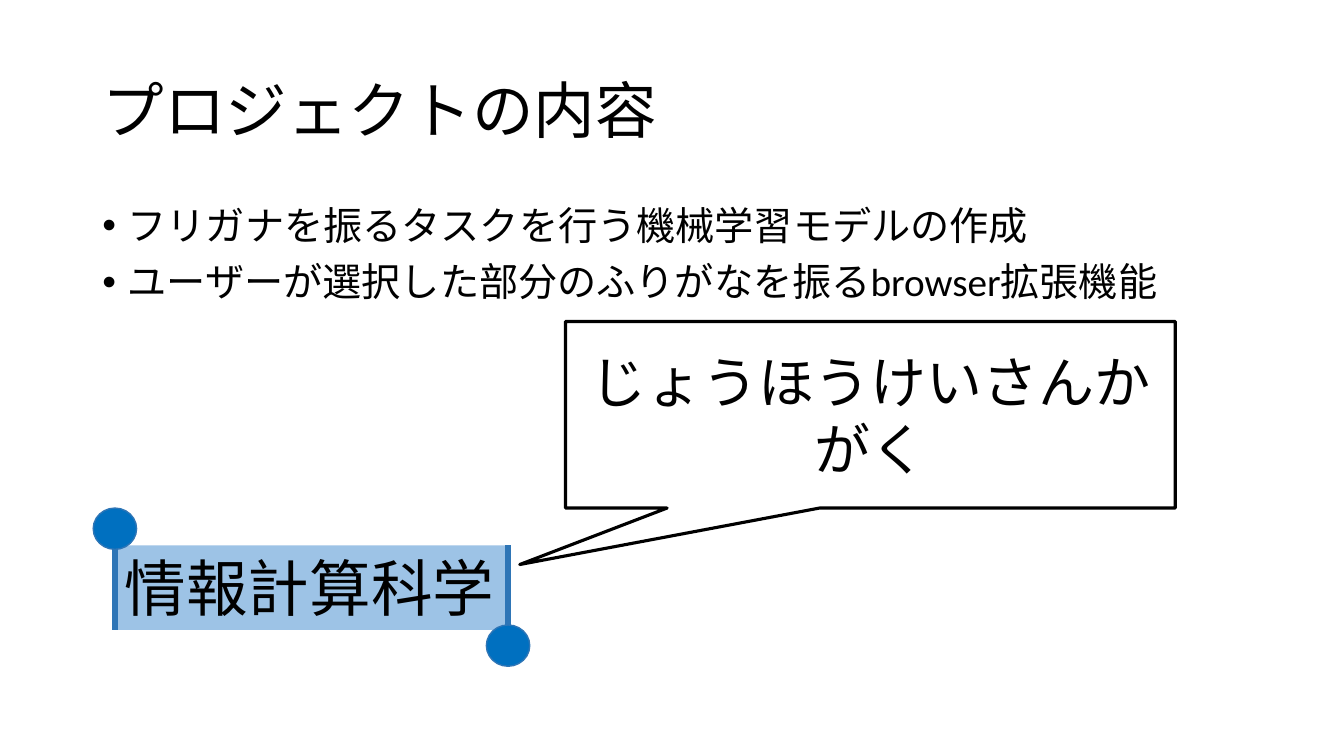
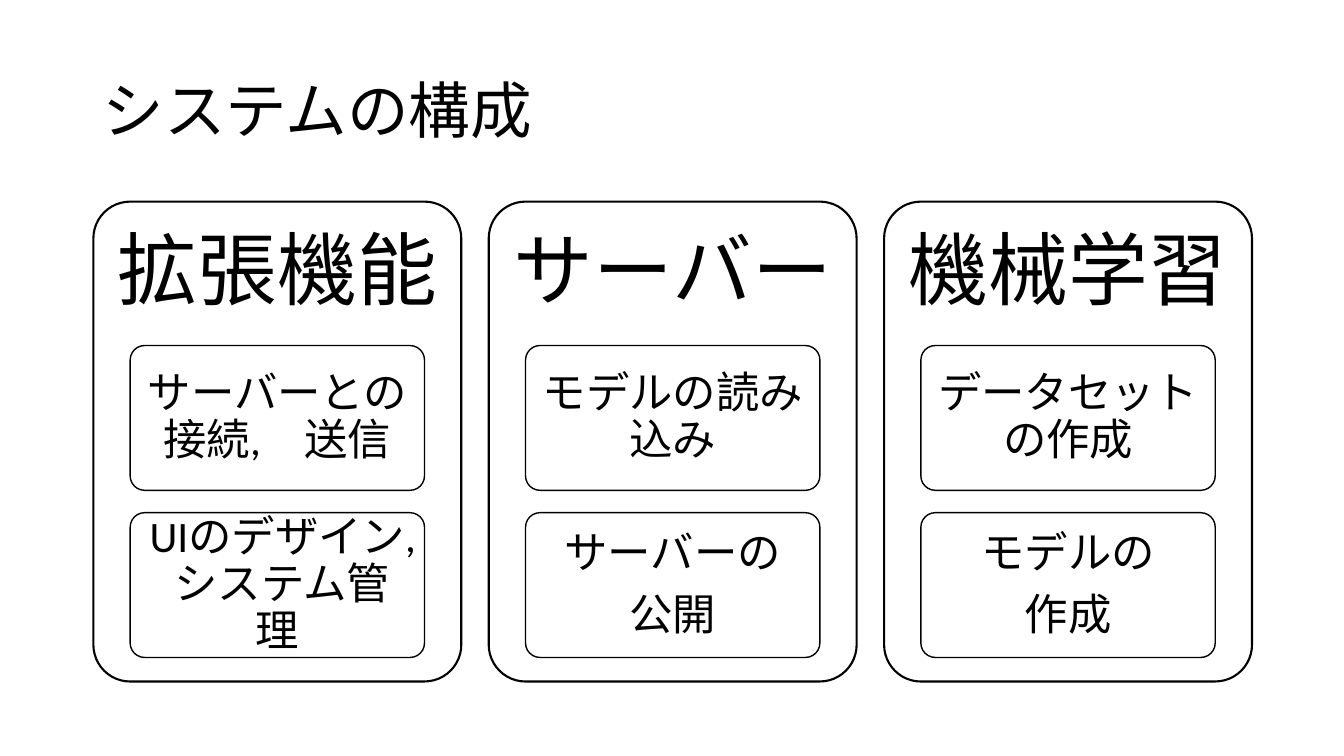
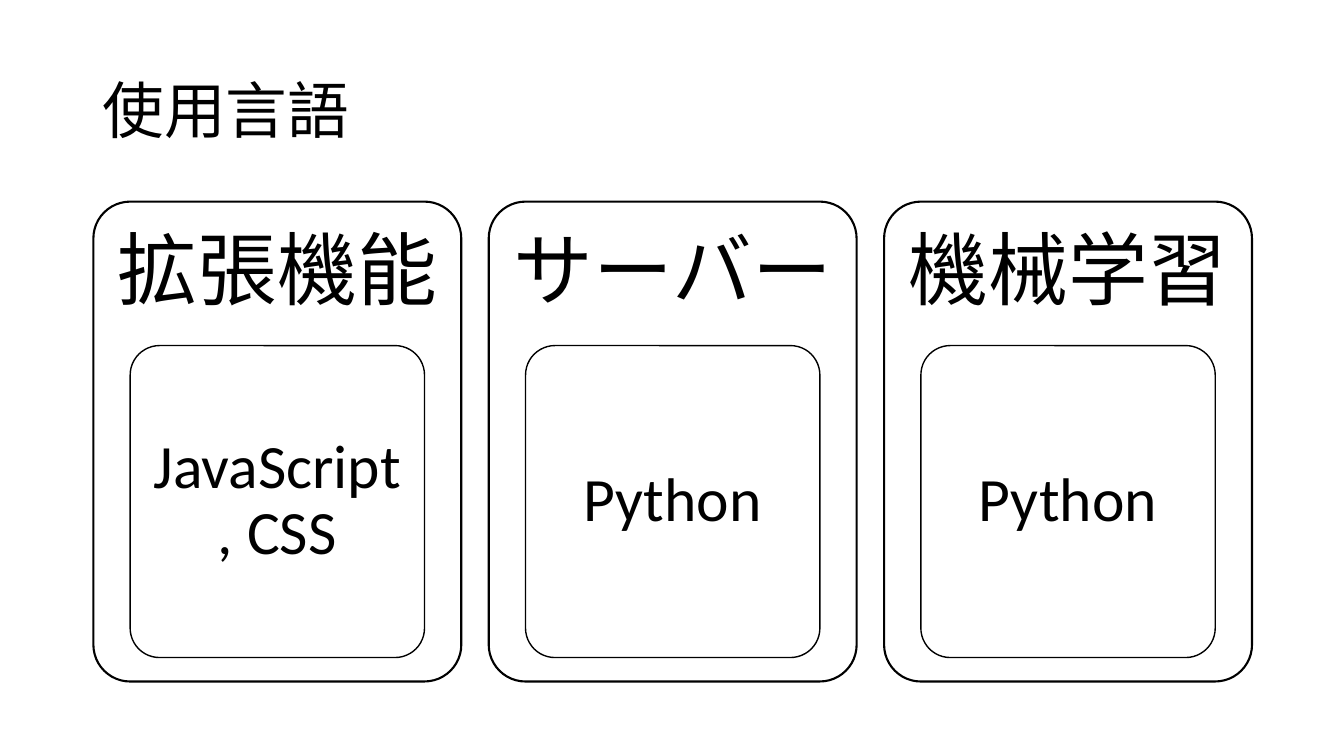
"""Build three slides on a furigana project: goal, system parts and languages."""
from lxml.etree import SubElement
from pptx import Presentation
from pptx.dml.color import RGBColor as Rgb
from pptx.enum.shapes import MSO_CONNECTOR as Link, MSO_SHAPE as Kind
from pptx.enum.text import MSO_ANCHOR as Anchor, MSO_AUTO_SIZE as Fit, PP_ALIGN as Align
from pptx.oxml.ns import qn
from pptx.util import Pt

HUES = {"ink": "000000", "paper": "FFFFFF", "mark": "9DC3E6", "edge": "2E75B6", "knob": "0070C0"}
FONT = "Calibri"


def write(frame, text, size, align=Align.LEFT, anchor=Anchor.MIDDLE, lead=1.0,
          before=0, after=0, inset=(7.2, 3.6), bullet=False):
    frame.word_wrap = True
    frame.auto_size = Fit.NONE
    frame.vertical_anchor = anchor
    frame.margin_left = frame.margin_right = Pt(inset[0])
    frame.margin_top = frame.margin_bottom = Pt(inset[1])
    frame.text = text
    for num, para in enumerate(frame.paragraphs):
        if bullet:
            props = para._p.get_or_add_pPr()
            props.set("marL", str(Pt(18)))
            props.set("indent", str(Pt(-18)))
            SubElement(props, qn("a:buChar")).set("char", "•")
        para.alignment = align
        para.line_spacing = lead
        para.space_before = Pt(before if num else 0)
        para.space_after = Pt(after)
        para.font.name = FONT
        para.font.size = Pt(size)
        para.font.color.rgb = Rgb.from_string(HUES["ink"])


def draw(slide, kind, area, fill="paper", line="ink", width=1):
    shape = slide.shapes.add_shape(kind, *map(Pt, area))
    shape.shadow.inherit = False
    shape.fill.solid()
    shape.fill.fore_color.rgb = Rgb.from_string(HUES[fill])
    if line:
        shape.line.color.rgb = Rgb.from_string(HUES[line])
        shape.line.width = Pt(width)
    else:
        shape.line.fill.background()
    return shape


deck = Presentation()
deck.slide_width, deck.slide_height = Pt(960), Pt(540)

pages = []
for name, layout in [("プロジェクトの内容", 1), ("システムの構成", 5), ("使用言語", 5)]:
    page = deck.slides.add_slide(deck.slide_layouts[layout])
    title = page.shapes.title
    title.left, title.top, title.width, title.height = map(Pt, (66, 28.8, 828, 104.4))
    write(title.text_frame, name, size=44, lead=0.9)
    pages.append(page)
goal, system, langs = pages

body = goal.placeholders[1]
body.left, body.top, body.width, body.height = map(Pt, (66, 144, 828, 80))
points = ["フリガナを振るタスクを行う機械学習モデルの作成",
          "ユーザーが選択した部分のふりがなを振るbrowser拡張機能"]
write(body.text_frame, "\n".join(points), size=28, anchor=Anchor.TOP, lead=0.9,
      before=10, bullet=True)

call = draw(goal, Kind.RECTANGULAR_CALLOUT, (403.9, 229.7, 435.6, 133.2), width=2.25)
call.adjustments[0], call.adjustments[1] = -0.575, 0.803
write(call.text_frame, "じょうほうけいさんかがく", size=40, align=Align.CENTER)

word = draw(goal, Kind.RECTANGLE, (82.1, 389.5, 280.8, 60.5), fill="mark", line=None)
write(word.text_frame, "情報計算科学", size=44, anchor=Anchor.TOP)
for x, top, end, knob in [(82.1, 392.4, 450, 362.9), (362.9, 389.5, 446.4, 446.4)]:
    bar = goal.shapes.add_connector(Link.STRAIGHT, Pt(x), Pt(top), Pt(x), Pt(end))
    bar.line.color.rgb = Rgb.from_string(HUES["edge"])
    bar.line.width = Pt(4.5)
    SubElement(bar._element.spPr, qn("a:effectLst"))
    draw(goal, Kind.OVAL, (x - 15.5, knob, 31, 29.5), fill="knob", line="edge")

heads = ["拡張機能", "サーバー", "機械学習"]
tasks = [["サーバーとの接続,　送信", "UIのデザイン, システム管理"],
         ["モデルの読み込み", "サーバーの\n公開"],
         ["データセットの作成", "モデルの\n作成"]]
tools = [["JavaScript, CSS"], ["Python"], ["Python"]]
left, top, wide, high, step = 66.7, 144, 262.8, 342.8, 282.4
gap = 16

for page, lists, size in [(system, tasks, 31), (langs, tools, 44)]:
    for col, (head, items) in enumerate(zip(heads, lists)):
        x = left + col * step
        card = draw(page, Kind.ROUNDED_RECTANGLE, (x, top, wide, high), width=1.5)
        card.adjustments[0] = 0.1
        label = page.shapes.add_textbox(*map(Pt, (x, top, wide, 0.3 * high)))
        write(label.text_frame, head, size=57, align=Align.CENTER, lead=0.9,
              after=20, inset=(17, 17))
        tall = (0.65 * high + gap) / len(items) - gap
        for row, item in enumerate(items):
            y = top + 0.3 * high + row * (tall + gap)
            tile = draw(page, Kind.ROUNDED_RECTANGLE, (x + 0.1 * wide, y, 0.8 * wide, tall))
            tile.adjustments[0] = 0.1
            write(tile.text_frame, item, size=size, align=Align.CENTER, lead=0.9,
                  after=0.35 * size, inset=(8, 0.15 * size))

deck.save("out.pptx")
